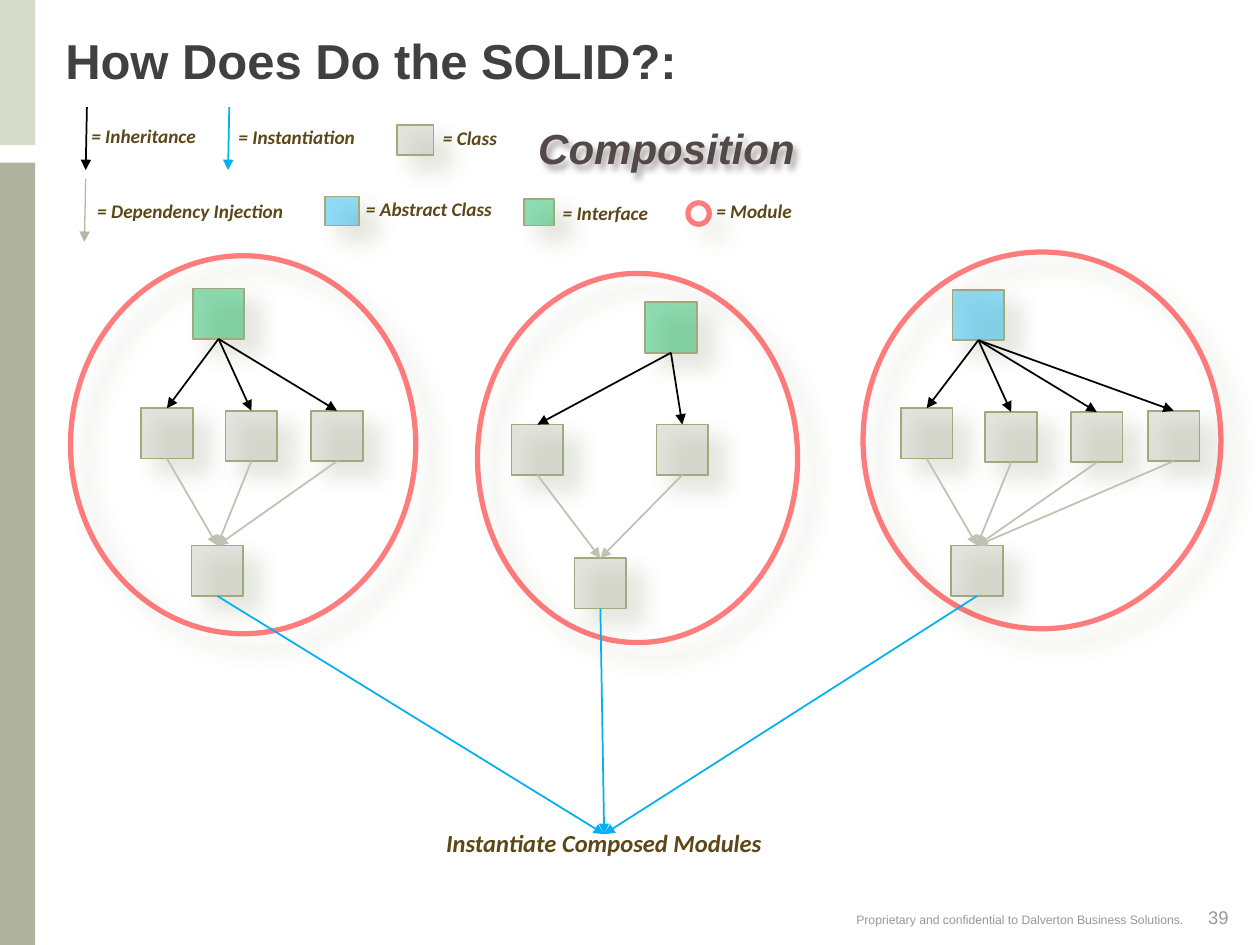
"""Build the SOLID composition slide: three modules wired to one composed result."""
from lxml.etree import SubElement
from pptx import Presentation
from pptx.dml.color import RGBColor
from pptx.enum.shapes import MSO_CONNECTOR, MSO_SHAPE
from pptx.enum.text import MSO_ANCHOR, PP_ALIGN
from pptx.oxml.ns import qn
from pptx.util import Inches, Pt

BLACK = RGBColor(0x00, 0x00, 0x00)
BLUE = RGBColor(0x00, 0xB0, 0xF0)
GREEN = RGBColor(0x00, 0xB0, 0x50)
GRAY = RGBColor(0xBF, 0xC2, 0xB2)
TAUPE = RGBColor(0xB9, 0xB5, 0xA5)
RED = RGBColor(0xFF, 0x00, 0x00)
OLIVE = RGBColor(0xA1, 0xAA, 0x7E)
SHADOW = RGBColor(0x6E, 0x77, 0x4E)
BROWN = RGBColor(0x5D, 0x47, 0x17)
DARK = RGBColor(0x40, 0x40, 0x40)
PLUM = RGBColor(0x53, 0x49, 0x49)
FOOTER = RGBColor(0x98, 0x98, 0x98)
PALE_BAR = RGBColor(0xCC, 0xD1, 0xB9)
DARK_BAR = RGBColor(0x95, 0x99, 0x7E)

BOX = (0.41, 0.4)
BARS = [((0, 0, 0.28, 1.15), PALE_BAR), ((0, 1.29, 0.28, 6.21), DARK_BAR)]
MODULES = [
    {"ring": (0.56, 2.03, 2.74, 3), "color": GREEN, "top": (1.53, 2.29),
     "classes": [(1.12, 3.24), (1.79, 3.26), (2.47, 3.26)], "bottom": (1.52, 4.33)},
    {"ring": (3.79, 2.17, 2.54, 2.93), "color": GREEN, "top": (5.12, 2.4),
     "classes": [(4.06, 3.37), (5.21, 3.37)], "bottom": (4.56, 4.43)},
    {"ring": (6.85, 2, 2.84, 2.99), "color": BLUE, "top": (7.56, 2.3),
     "classes": [(7.15, 3.24), (7.82, 3.27), (8.5, 3.27), (9.11, 3.26)],
     "bottom": (7.55, 4.33)},
]
KEY_ARROWS = [(0.69, 0.85, BLACK, 1), (1.82, 0.85, BLUE, 1), (0.68, 1.42, TAUPE, 0.75)]
KEY_BOXES = [((3.15, 0.99, 0.29, 0.24), GRAY), ((2.58, 1.56, 0.27, 0.23), BLUE),
             ((4.16, 1.58, 0.24, 0.21), GREEN)]
KEY_RING = (5.46, 1.61, 0.17, 0.17)
KEY_LABELS = [
    ("= Inheritance", (0.62, 0.98, 1.04, 0.25)),
    ("= Instantiation", (1.78, 0.99, 1.15, 0.25)),
    ("= Class", (3.41, 1, 0.64, 0.25)),
    ("= Abstract Class", (2.8, 1.56, 1.21, 0.24)),
    ("= Interface", (4.36, 1.59, 0.89, 0.25)),
    ("= Dependency Injection", (0.67, 1.58, 1.68, 0.24)),
    ("= Module", (5.58, 1.58, 0.81, 0.25)),
]
LABEL_FONT = {"name": "Calibri", "size": Pt(11), "bold": True, "italic": True}
LABEL_PARA = {"alignment": PP_ALIGN.CENTER, "line_spacing": Pt(10)}


def set_attrs(obj, values):
    for name, value in values.items():
        setattr(obj, name, value)


def set_alpha(solid, percent):
    SubElement(solid[0], qn("a:alpha"), val=str(percent * 1000))


def add_shadow(sp, color, alpha, blur, dist, angle):
    effects = SubElement(sp.element.spPr, qn("a:effectLst"))
    shadow = SubElement(effects, qn("a:outerShdw"), blurRad=str(Pt(blur)),
                        dist=str(Pt(dist)), dir=str(angle * 60000),
                        algn="tl", rotWithShape="0")
    SubElement(shadow, qn("a:srgbClr"), val=str(color))
    set_alpha(shadow, alpha)


def add_filled(s, at, color, alpha):
    sp = s.shapes.add_shape(MSO_SHAPE.RECTANGLE, *map(Inches, at))
    sp.fill.solid()
    sp.fill.fore_color.rgb = color
    set_alpha(sp.element.spPr.find(qn("a:solidFill")), alpha)
    return sp


def add_bar(s, at, color):
    sp = add_filled(s, at, color, 75)
    sp.line.fill.background()
    sp.shadow.inherit = False


def add_box(s, at, color):
    sp = add_filled(s, at, color, 43)
    sp.line.color.rgb = OLIVE
    sp.line.width = Pt(1)
    add_shadow(sp, SHADOW, 38, 12, 12, 43)
    return sp


def add_ring(s, at):
    sp = s.shapes.add_shape(MSO_SHAPE.OVAL, *map(Inches, at))
    sp.fill.background()
    sp.line.color.rgb = RED
    sp.line.width = Pt(3)
    set_alpha(sp.element.spPr.find(qn("a:ln")).find(qn("a:solidFill")), 51)
    add_shadow(sp, SHADOW, 38, 12, 12, 43)


def add_arrow(s, color, ends=(0, 0, 0, 0), width=1):
    c = s.shapes.add_connector(MSO_CONNECTOR.STRAIGHT, *map(Inches, ends))
    c.line.color.rgb = color
    c.line.width = Pt(width)
    SubElement(c.element.spPr.find(qn("a:ln")), qn("a:tailEnd"), type="triangle")
    SubElement(c.element.spPr, qn("a:effectLst"))
    return c


def link(s, upper, lower, color):
    c = add_arrow(s, color)
    c.begin_connect(upper, 2)
    c.end_connect(lower, 0)


def add_text(s, text, at, color, font, para=None, frame=None):
    sp = s.shapes.add_textbox(*map(Inches, at))
    tf = sp.text_frame
    set_attrs(tf, {"word_wrap": True, **(frame or {})})
    p = tf.paragraphs[0]
    set_attrs(p, para or {})
    r = p.add_run()
    r.text = text
    set_attrs(r.font, {"name": "Arial", **font})
    r.font.color.rgb = color
    return sp


def add_label(s, text, at, size=11):
    return add_text(s, text, at, BROWN, {**LABEL_FONT, "size": Pt(size)},
                    LABEL_PARA, {"word_wrap": False})


def add_module(s, module):
    bottom = add_box(s, module["bottom"] + BOX, GRAY)
    top = add_box(s, module["top"] + BOX, module["color"])
    classes = [add_box(s, at + BOX, GRAY) for at in module["classes"]]
    for sp in classes:
        link(s, top, sp, BLACK)
        link(s, sp, bottom, GRAY)
    return bottom


def main():
    prs = Presentation()
    prs.slide_width, prs.slide_height = Inches(10), Inches(7.5)
    s = prs.slides.add_slide(prs.slide_layouts[6])
    for at, color in BARS:
        add_bar(s, at, color)

    add_text(s, "How Does Do the SOLID?:", (0.42, 0.1, 9.23, 0.75), DARK,
             {"size": Pt(28), "bold": True},
             frame={"vertical_anchor": MSO_ANCHOR.MIDDLE})
    add_text(s, "39", (9.49, 7.14, 0.51, 0.34), FOOTER, {"size": Pt(10.5)})
    add_text(s, "Proprietary and confidential to Dalverton Business Solutions.",
             (5.63, 7.19, 3.86, 0.31), FOOTER, {"size": Pt(7)},
             {"alignment": PP_ALIGN.RIGHT})
    heading = add_text(s, "Composition", (0.67, 0.88, 9.24, 0.44), PLUM,
                       {"size": Pt(24), "bold": True, "italic": True},
                       {"alignment": PP_ALIGN.CENTER}, {"margin_top": Inches(0.09)})
    add_shadow(heading, PLUM, 50, 4, 3, 60)

    result = add_label(s, "Instantiate Composed Modules", (3.43, 6.62, 2.73, 0.24), 14)
    bottoms = [add_module(s, module) for module in MODULES]
    for module in MODULES:
        add_ring(s, module["ring"])
    for bottom in bottoms:
        link(s, bottom, result, BLUE)

    for x, y, color, width in KEY_ARROWS:
        add_arrow(s, color, (x, y, x - 0.01, y + 0.5), width)
    for at, color in KEY_BOXES:
        add_box(s, at, color)
    add_ring(s, KEY_RING)
    for text, at in KEY_LABELS:
        add_label(s, text, at)
    prs.save("out.pptx")


if __name__ == "__main__":
    main()
